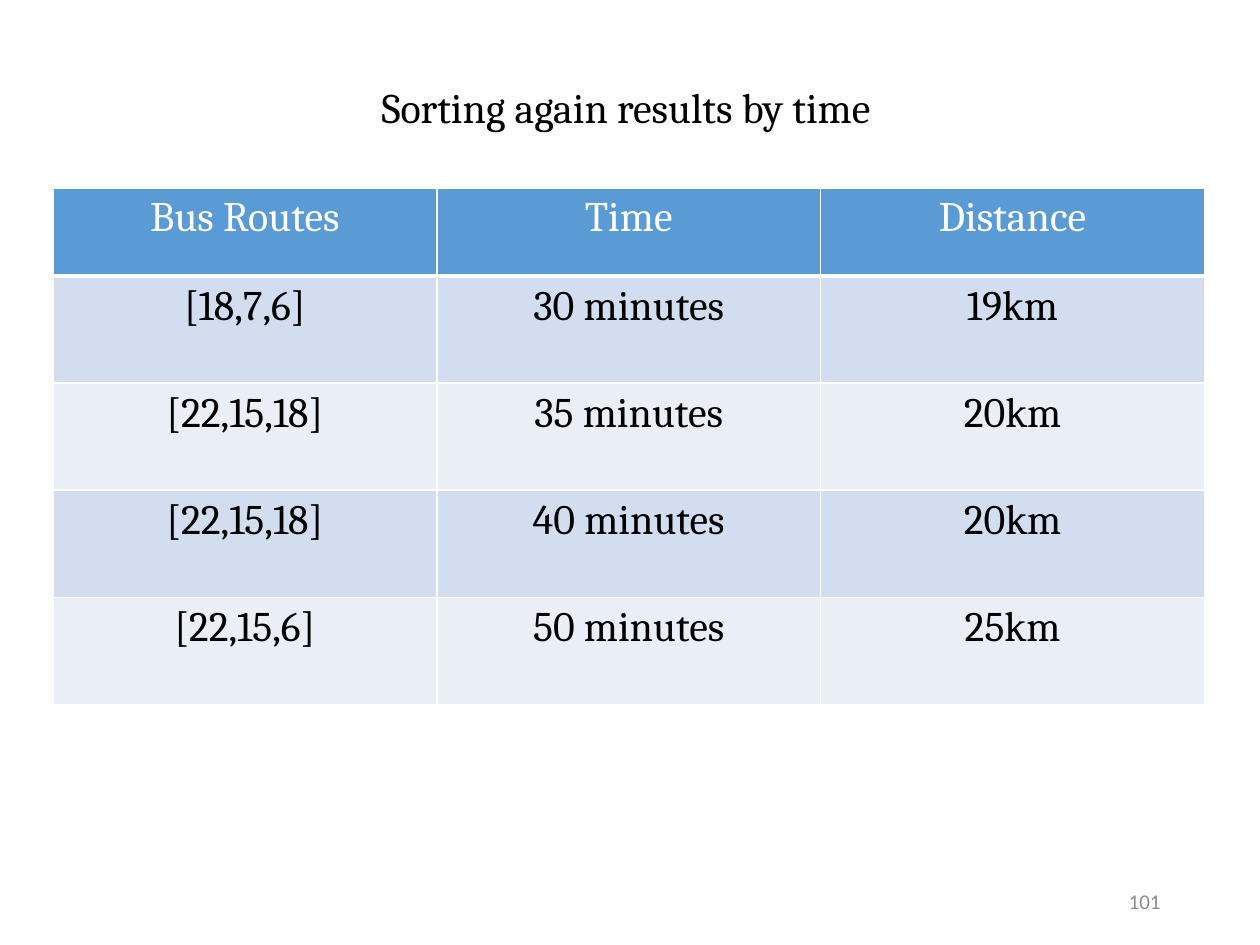
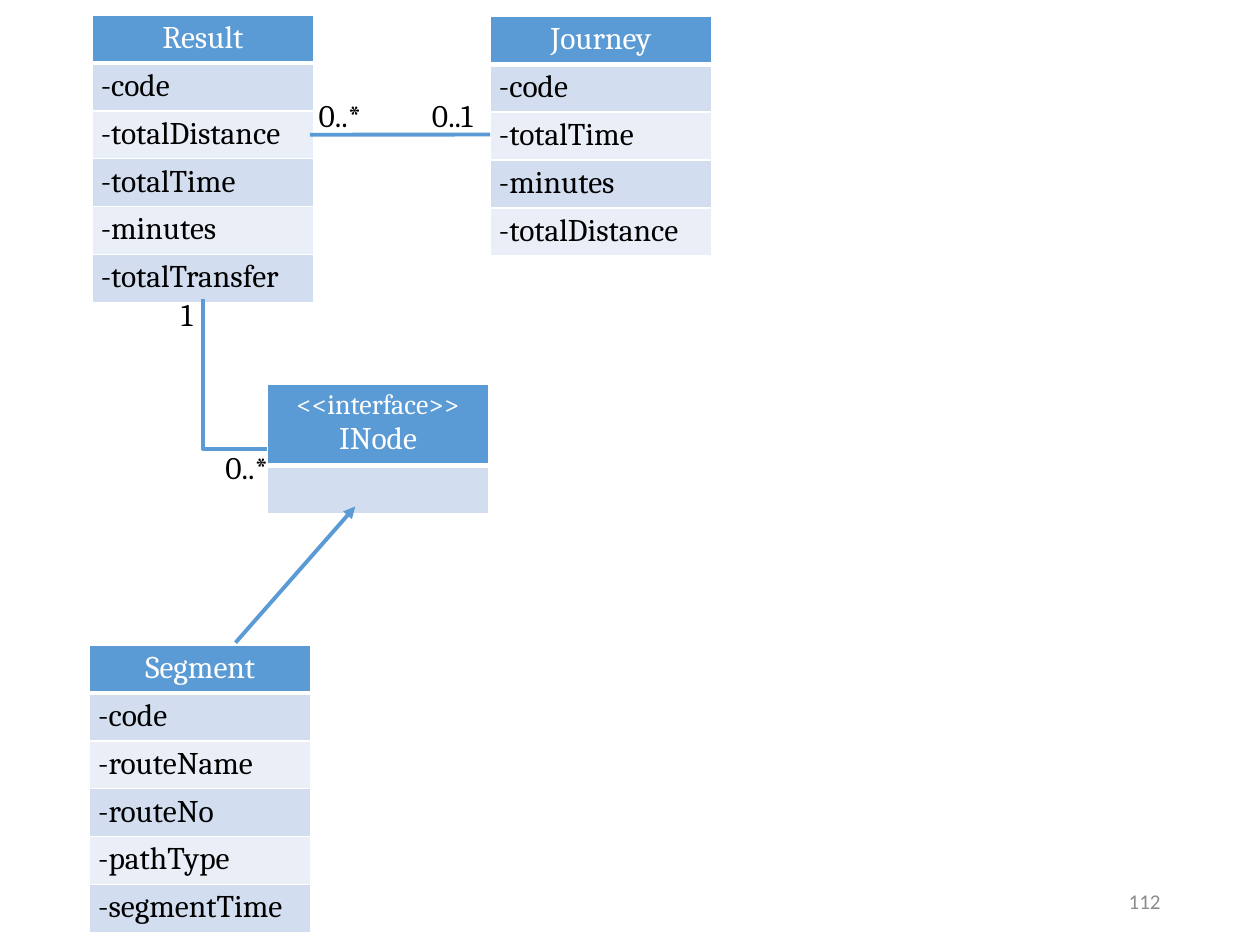
from dataclasses import dataclass

from lxml import etree
from pptx import Presentation
from pptx.dml.color import RGBColor
from pptx.enum.shapes import MSO_CONNECTOR
from pptx.enum.text import MSO_ANCHOR, PP_ALIGN
from pptx.oxml.ns import qn
from pptx.util import Pt

STRAIGHT, ELBOW = MSO_CONNECTOR.STRAIGHT, MSO_CONNECTOR.ELBOW
LEFT, CENTER, RIGHT = PP_ALIGN.LEFT, PP_ALIGN.CENTER, PP_ALIGN.RIGHT
TOP, MIDDLE = MSO_ANCHOR.TOP, MSO_ANCHOR.MIDDLE
PX = 9144


@dataclass(frozen=True)
class Theme:
    accent: str = "5B9BD5"
    bands: tuple = ("EAEFF7", "D2DEEF")
    white: str = "FFFFFF"
    black: str = "000000"
    gray: str = "8C8C8C"
    body_font: str = "Cambria"
    number_font: str = "Calibri"
    large: int = 24
    medium: int = 18
    stereotype: int = 16
    small: int = 12
    line: float = 2.25


theme = Theme()


def write_text(frame, text, size, color, align=LEFT, font=theme.body_font):
    frame.text = text
    for paragraph in frame.paragraphs:
        paragraph.alignment = align
        paragraph.font.color.rgb = RGBColor.from_string(color)
        line_size = theme.stereotype if paragraph.text.startswith("<<") else size
        for run in paragraph.runs:
            run.font.color.rgb = RGBColor.from_string(color)
            for name, value in {"name": font, "size": Pt(line_size)}.items():
                setattr(run.font, name, value)


def add_grid(slide, left, top, width, row_heights, rows, size, align, margins):
    frame = slide.shapes.add_table(len(rows), len(rows[0]), left * PX, top * PX,
                                   width * PX, sum(row_heights) * PX)
    table = frame.table
    for row_index, (texts, height) in enumerate(zip(rows, row_heights)):
        header = row_index == 0
        table.rows[row_index].height = round(height * PX)
        for column_index, text in enumerate(texts):
            cell = table.cell(row_index, column_index)
            write_text(cell.text_frame, text, size, theme.white if header else theme.black,
                       CENTER if header else align)
            side, edge = margins
            for name, value in {"margin_left": side, "margin_right": side,
                                "margin_top": edge, "margin_bottom": edge}.items():
                setattr(cell, name, value * PX)
            properties = cell._tc.get_or_add_tcPr()
            for tag in ("a:lnL", "a:lnR", "a:lnT", "a:lnB"):
                points = 3 if (header and tag == "a:lnB") or (row_index == 1 and tag == "a:lnT") else 1
                border = etree.SubElement(properties, qn(tag), w=str(Pt(points)))
                fill = etree.SubElement(border, qn("a:solidFill"))
                etree.SubElement(fill, qn("a:srgbClr"), val=theme.white)
            cell.fill.solid()
            cell.fill.fore_color.rgb = RGBColor.from_string(
                theme.accent if header else theme.bands[row_index % 2])
    return frame


presentation = Presentation()
presentation.slide_width = 1000 * PX
presentation.slide_height = 750 * PX
blank = presentation.slide_layouts[6]
results_slide = presentation.slides.add_slide(blank)
classes_slide = presentation.slides.add_slide(blank)

routes = [
    ("Bus Routes", "Time", "Distance"),
    ("[18,7,6]", "30 minutes", "19km"),
    ("[22,15,18]", "35 minutes", "20km"),
    ("[22,15,18]", "40 minutes", "20km"),
    ("[22,15,6]", "50 minutes", "25km"),
]
add_grid(results_slide, 42, 149, 914, [70] + [85] * 4, routes, theme.large, CENTER, (10, 5))

classes = {
    "Segment": (71, 512, [36] * 5 + [37],
                ["Segment", "-code", "-routeName", "-routeNo", "-pathType", "-segmentTime"]),
    "INode": (212, 305, [61, 37], ["<<interface>>\nINode", ""]),
    "Journey": (389, 13, [37.5] * 5,
                ["Journey", "-code", "-totalTime", "-minutes", "-totalDistance"]),
    "Result": (73, 12, [37.5] * 6,
               ["Result", "-code", "-totalDistance", "-totalTime", "-minutes", "-totalTransfer"]),
}
class_frames = {}
for class_name, (left, top, row_heights, members) in classes.items():
    class_frames[class_name] = add_grid(classes_slide, left, top, 176, [round(h * 2) / 2 for h in row_heights],
                                        [(member,) for member in members],
                                        theme.medium, LEFT, (7, 4))

connectors = {
    "contains": (ELBOW, 212, 356, 161, 237),
    "belongs": (STRAIGHT, 246, 107, 389, 107),
    "implements": (STRAIGHT, 187, 510, 282, 402),
}
for relation, (kind, *ends) in connectors.items():
    connector = classes_slide.shapes.add_connector(kind, *(end * PX for end in ends))
    connector.line.color.rgb = RGBColor.from_string(theme.accent)
    connector.line.width = Pt(theme.line)
    properties = connector._element.spPr
    etree.SubElement(properties, qn("a:effectLst"))
    if relation == "contains":
        properties.find(qn("a:prstGeom")).set("prst", "bentConnector2")
    elif relation == "belongs":
        connector.end_connect(class_frames["Journey"], 1)
    else:
        etree.SubElement(connector.line._get_or_add_ln(), qn("a:tailEnd"), type="triangle")

heading = (theme.large, theme.black, LEFT, theme.body_font)
multiplicity = (theme.medium, theme.black, LEFT, theme.body_font)
page_number = (theme.small, theme.gray, RIGHT, theme.number_font)
labels = [
    (results_slide, "Sorting again results by time", 293, 60, 430, 50, heading),
    (results_slide, "101", 706, 695, 225, 40, page_number),
    (classes_slide, "1", 134, 229, 34, 40, multiplicity),
    (classes_slide, "0..*", 169, 351, 56, 40, multiplicity),
    (classes_slide, "0..*", 243, 71, 56, 40, multiplicity),
    (classes_slide, "0..1", 333, 71, 59, 40, multiplicity),
    (classes_slide, "112", 706, 695, 225, 40, page_number),
]
for slide, text, left, top, width, height, style in labels:
    box = slide.shapes.add_textbox(left * PX, top * PX, width * PX, height * PX)
    is_number = style is page_number
    for name, value in {"word_wrap": is_number,
                        "vertical_anchor": MIDDLE if is_number else TOP}.items():
        setattr(box.text_frame, name, value)
    write_text(box.text_frame, text, *style)

presentation.save("out.pptx")
